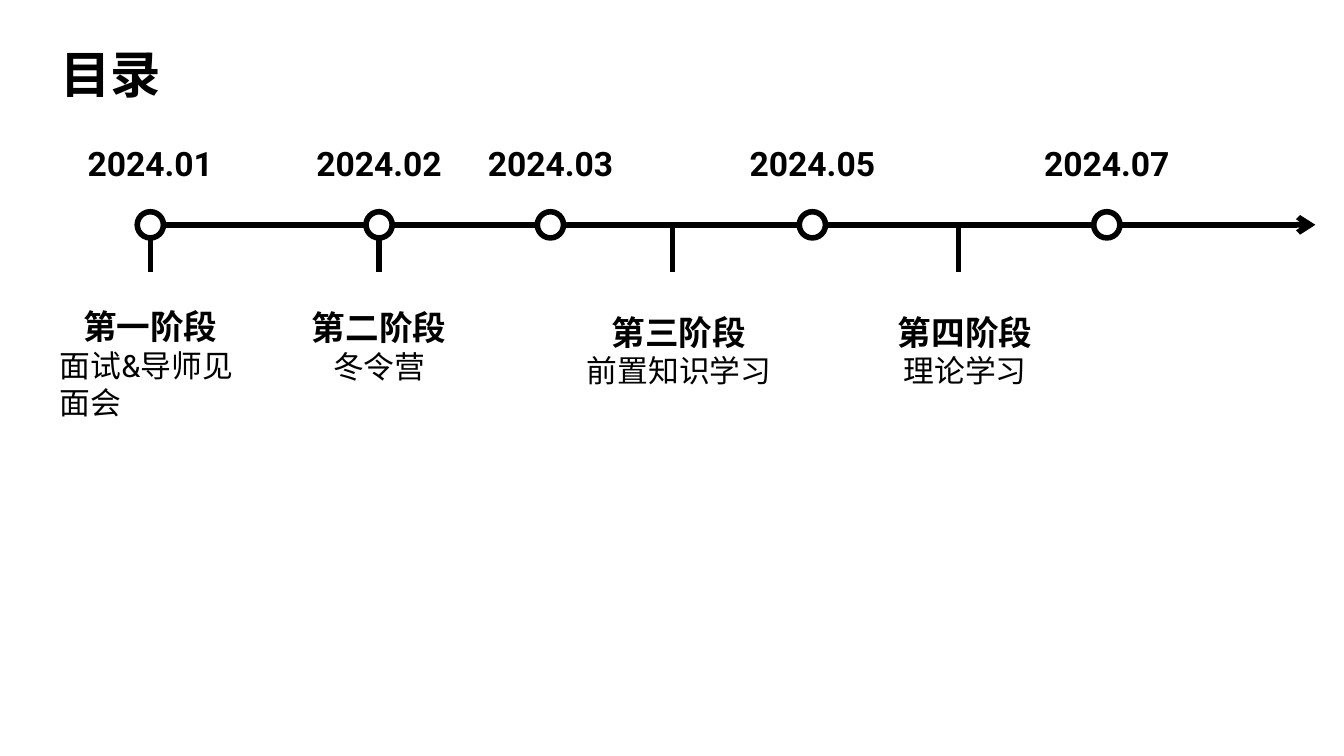
from lxml import etree
from pptx import Presentation
from pptx.dml.color import RGBColor
from pptx.enum import shapes, text
from pptx.oxml import ns
from pptx.util import Pt

BLACK = RGBColor(0, 0, 0)
WHITE = RGBColor(255, 255, 255)
AXIS_Y = 160.6
STEM_END = 194.4
DOT = 18.7
DATE_WIDTH = 143.3


class Timeline:
    """Draws the timeline elements on one slide in a shared style."""

    def __init__(self, slide, font="Roboto", weight=4):
        self.s = slide
        self.font = font
        self.weight = weight

    def label(self, x, y, w, h, lines, spacing=None, fit=True):
        tb = self.s.shapes.add_textbox(Pt(x), Pt(y), Pt(w), Pt(h))
        tf = tb.text_frame
        tf.word_wrap = True
        if fit:
            tf.auto_size = text.MSO_AUTO_SIZE.SHAPE_TO_FIT_TEXT
        tf.text = "\n".join(words for words, *_ in lines)
        for p, (_, size, bold, align) in zip(tf.paragraphs, lines):
            p.alignment = align
            p.line_spacing = spacing
            for r in p.runs:
                r.font.size = Pt(size)
                r.font.bold = bold
                r.font.name = self.font
                r.font.color.rgb = BLACK
                ea = etree.SubElement(r._r.get_or_add_rPr(), ns.qn("a:ea"))
                ea.set("typeface", self.font)

    def line(self, x1, y1, x2, y2, ends=()):
        c = self.s.shapes.add_connector(
            shapes.MSO_CONNECTOR.STRAIGHT, Pt(x1), Pt(y1), Pt(x2), Pt(y2))
        c.line.color.rgb = BLACK
        c.line.width = Pt(self.weight)
        for tag, kind in ends:
            end = etree.SubElement(c.line._get_or_add_ln(), ns.qn(tag))
            end.set("type", kind)
        etree.SubElement(c._element.spPr, ns.qn("a:effectLst"))

    def dot(self, x):
        sp = self.s.shapes.add_shape(
            shapes.MSO_SHAPE.OVAL, Pt(x - DOT / 2), Pt(AXIS_Y - DOT / 2),
            Pt(DOT), Pt(DOT))
        sp.shadow.inherit = False
        sp.fill.solid()
        sp.fill.fore_color.rgb = WHITE
        sp.line.color.rgb = BLACK
        sp.line.width = Pt(self.weight)

    def date(self, x, words):
        self.label(x - DATE_WIDTH / 2, 98.6, DATE_WIDTH, 36,
                   [(words, 24, True, text.PP_ALIGN.CENTER)])
        self.dot(x)

    def stage(self, x, y, w, h, name, topic, align=text.PP_ALIGN.CENTER):
        self.label(x - w / 2, y, w, h,
                   [(name, 24, True, text.PP_ALIGN.CENTER),
                    (topic, 22, False, align)])


def main():
    prs = Presentation()
    prs.slide_width, prs.slide_height = Pt(960), Pt(540)
    s = prs.slides.add_slide(prs.slide_layouts[6])
    t = Timeline(s)
    t.label(36, 32.4, 828, 66.2, [("目录", 36, True, text.PP_ALIGN.LEFT)],
            spacing=0.9, fit=False)
    t.line(103, AXIS_Y, 939.6, AXIS_Y,
           [("a:headEnd", "oval"), ("a:tailEnd", "arrow")])

    dates = [(107.4, "2024.01"), (270.8, "2024.02"), (393.2, "2024.03"),
             (580.3, "2024.05"), (790.6, "2024.07")]
    for x, words in dates:
        t.date(x, words)
    for x, _ in dates[:2]:
        t.line(x, AXIS_Y + DOT / 2, x, STEM_END)
    for x in (480.3, 684.8):
        t.line(x, AXIS_Y, x, STEM_END)

    t.stage(107.4, 215.3, DATE_WIDTH, 90, "第一阶段", "面试&导师见面会",
            text.PP_ALIGN.LEFT)
    t.stage(270.8, 216, DATE_WIDTH, 63.4, "第二阶段", "冬令营")
    t.stage(485, 218.9, 183.6, 63.4, "第三阶段", "前置知识学习")
    t.stage(689.4, 218.9, 183.6, 63.4, "第四阶段", "理论学习")
    prs.save("out.pptx")


if __name__ == "__main__":
    main()
